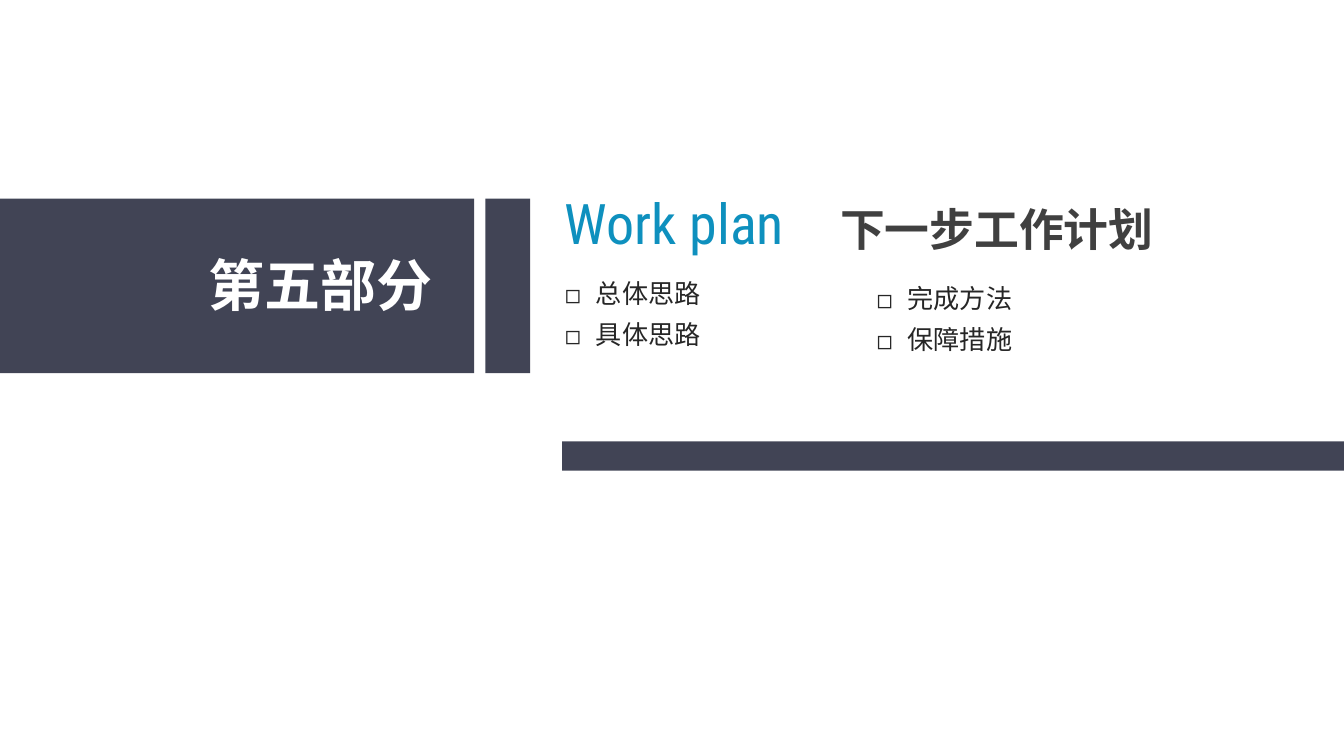
from lxml.etree import SubElement
from pptx import Presentation
from pptx.dml.color import RGBColor
from pptx.enum.shapes import MSO_SHAPE
from pptx.enum.text import MSO_ANCHOR, MSO_AUTO_SIZE, PP_ALIGN
from pptx.oxml.ns import qn
from pptx.util import Pt

SLATE = RGBColor(0x41, 0x44, 0x55)
WHITE = RGBColor(0xFF, 0xFF, 0xFF)
BLUE = RGBColor(0x0E, 0x90, 0xBE)
DARK_GRAY = RGBColor(0x40, 0x40, 0x40)
NEAR_BLACK = RGBColor(0x26, 0x26, 0x26)
CJK_FONT = "Noto Sans CJK SC"
LATIN_FONT = "Roboto Condensed"

SLIDE_WIDTH, SLIDE_HEIGHT = 720, 405
BAND_TOP, BAND_HEIGHT = 106.4, 93.6
RULE_LEFT = 301.2
BULLET_INDENT = 16.6


def add_bar(slide, left, top, width, height):
    bar = slide.shapes.add_shape(
        MSO_SHAPE.RECTANGLE, Pt(left), Pt(top), Pt(width), Pt(height))
    bar.shadow.inherit = False
    bar.fill.solid()
    bar.fill.fore_color.rgb = SLATE
    bar.line.fill.background()


def prepare_frame(shape, left, top, width, height):
    """Place a text shape and return its frame with the slide's margins."""
    shape.left, shape.top = Pt(left), Pt(top)
    shape.width, shape.height = Pt(width), Pt(height)
    frame = shape.text_frame
    frame.auto_size = MSO_AUTO_SIZE.NONE
    frame.word_wrap = True
    frame.vertical_anchor = MSO_ANCHOR.MIDDLE
    frame.margin_left = frame.margin_right = Pt(5)
    frame.margin_top = frame.margin_bottom = Pt(2.7)
    return frame


def add_run(paragraph, text, size, color, font_name=CJK_FONT, bold=False):
    run = paragraph.add_run()
    run.text = text
    run.font.size = Pt(size)
    run.font.bold = bold
    run.font.color.rgb = color
    run.font.name = font_name
    SubElement(run.font._element, qn("a:ea"), typeface=font_name)


def fill_heading(shape, box, text, size, color, font_name=CJK_FONT, bold=False):
    paragraph = prepare_frame(shape, *box).paragraphs[0]
    paragraph.alignment = PP_ALIGN.LEFT
    add_run(paragraph, text, size, color, font_name, bold)


def add_bullet(paragraph):
    properties = paragraph._p.get_or_add_pPr()
    properties.set("marL", str(Pt(BULLET_INDENT)))
    properties.set("indent", str(-Pt(BULLET_INDENT)))
    SubElement(properties, qn("a:buFont"), typeface=CJK_FONT)
    SubElement(properties, qn("a:buChar"), char="◻")


def fill_list(placeholder, left, top, items):
    frame = prepare_frame(placeholder, left, top, 84, 52)
    for index, item in enumerate(items):
        paragraph = frame.add_paragraph() if index else frame.paragraphs[0]
        add_bullet(paragraph)
        paragraph.space_before = Pt(5.4 if index else 0)
        add_run(paragraph, item, 14, NEAR_BLACK)


def main():
    presentation = Presentation()
    presentation.slide_width = Pt(SLIDE_WIDTH)
    presentation.slide_height = Pt(SLIDE_HEIGHT)
    two_content = presentation.slide_layouts[3]
    slide = presentation.slides.add_slide(two_content)
    title, left_list, right_list = slide.placeholders

    add_bar(slide, 0, BAND_TOP, 254, BAND_HEIGHT)
    add_bar(slide, 260, BAND_TOP, 24, BAND_HEIGHT)
    add_bar(slide, RULE_LEFT, 236.4, SLIDE_WIDTH - RULE_LEFT, 15.8)

    part_label = slide.shapes.add_textbox(0, 0, 0, 0)
    fill_heading(part_label, (106.8, 131, 132, 42), "第五部分", 30, WHITE, bold=True)
    english_title = slide.shapes.add_textbox(0, 0, 0, 0)
    fill_heading(english_title, (297.6, 98, 137, 42), "Work plan", 30, BLUE, LATIN_FONT)
    fill_heading(title, (445, 105, 181, 34.6), "下一步工作计划", 24, DARK_GRAY, bold=True)

    fill_list(left_list, 297.6, 142, ["总体思路", "具体思路"])
    fill_list(right_list, 464.6, 144.7, ["完成方法", "保障措施"])

    presentation.save("out.pptx")


if __name__ == "__main__":
    main()
